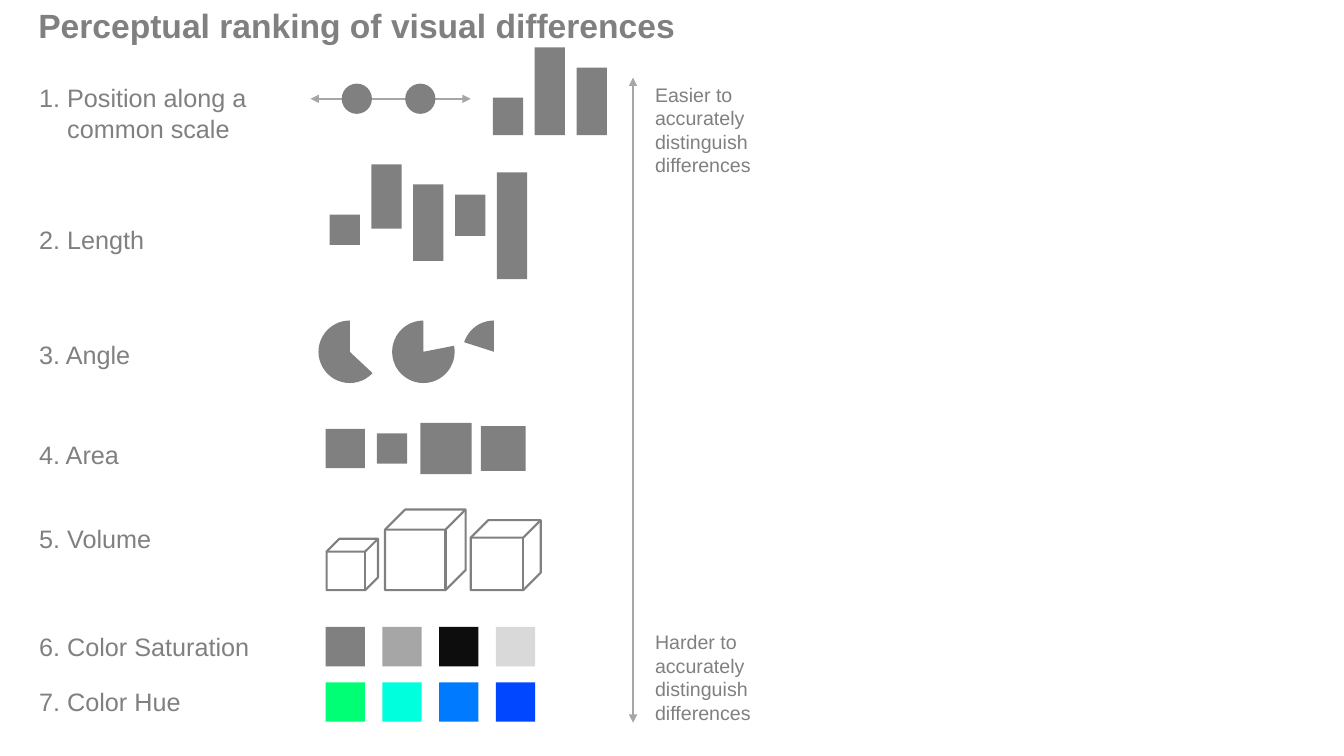
from lxml.etree import SubElement
from pptx import Presentation
from pptx.dml.color import RGBColor
from pptx.enum.shapes import MSO_CONNECTOR, MSO_SHAPE
from pptx.enum.text import MSO_ANCHOR, MSO_AUTO_SIZE, PP_ALIGN
from pptx.oxml.ns import qn
from pptx.util import Inches, Pt

CELL = Inches(0.1)
COLS, ROWS = 133.33, 75

GRAY = RGBColor(0x80, 0x80, 0x80)
MID_GRAY = RGBColor(0xA6, 0xA6, 0xA6)
NEAR_BLACK = RGBColor(0x0D, 0x0D, 0x0D)
LIGHT_GRAY = RGBColor(0xD9, 0xD9, 0xD9)
GREEN = RGBColor(0x00, 0xFF, 0x74)
CYAN = RGBColor(0x00, 0xFF, 0xDC)
AZURE = RGBColor(0x00, 0x7A, 0xFF)
BLUE = RGBColor(0x00, 0x47, 0xFF)

LABEL_LEFT = 2.9
BAR_WIDTH, BAR_PITCH = 3, 4.15
SWATCH, SWATCH_LEFT, SWATCH_PITCH = 3.9, 32.3, 5.63


def cells(*counts):
    return [round(n * CELL) for n in counts]


def write(tf, *lines, size=18, bold=False, wrap=True, hang=0):
    tf.word_wrap = wrap
    tf.auto_size = MSO_AUTO_SIZE.SHAPE_TO_FIT_TEXT
    tf.vertical_anchor = MSO_ANCHOR.TOP
    for i, line in enumerate(lines):
        p = tf.add_paragraph() if i else tf.paragraphs[0]
        p.alignment = PP_ALIGN.LEFT
        if i and hang:
            p._p.get_or_add_pPr().set("marL", str(round(hang * CELL)))
        r = p.add_run()
        r.text = line
        r.font.name = "Arial"
        r.font.size = Pt(size)
        r.font.bold = bold
        r.font.color.rgb = GRAY


def add_title(s, text):
    sp = s.shapes.title
    sp.left, sp.top, sp.width, sp.height = cells(2.8, 0, 71.5, 5)
    write(sp.text_frame, text, size=24, bold=True)


def add_text(s, x, y, w, h, *lines, **fmt):
    sp = s.shapes.add_textbox(*cells(x, y, w, h))
    write(sp.text_frame, *lines, **fmt)


def add_mark(s, kind, x, y, w, h, fill=GRAY):
    sp = s.shapes.add_shape(kind, *cells(x, y, w, h))
    sp.shadow.inherit = False
    sp.fill.solid()
    sp.fill.fore_color.rgb = fill
    sp.line.fill.background()
    return sp


def add_cube(s, x, bottom, side):
    sp = add_mark(s, MSO_SHAPE.CUBE, x, bottom - side, side, side)
    sp.fill.background()
    sp.line.color.rgb = GRAY
    sp.line.width = Pt(1.5)


def add_pie(s, x, y, size, start):
    sp = add_mark(s, MSO_SHAPE.PIE, x, y, size, size)
    for i, degrees in enumerate((start, 270)):
        sp.adjustments[i] = degrees * 0.6


def add_double_arrow(s, x1, y1, x2, y2):
    line = s.shapes.add_connector(MSO_CONNECTOR.STRAIGHT, *cells(x1, y1, x2, y2))
    line.line.color.rgb = MID_GRAY
    line.line.width = Pt(1.5)
    ln = line.line._get_or_add_ln()
    for end in ("a:headEnd", "a:tailEnd"):
        SubElement(ln, qn(end)).set("type", "triangle")
    SubElement(line._element.spPr, qn("a:effectLst"))


def add_bars(s, left, spans):
    for i, (top, height) in enumerate(spans):
        add_mark(s, MSO_SHAPE.RECTANGLE, left + i * BAR_PITCH, top, BAR_WIDTH, height)


def add_swatches(s, top, colors):
    for i, color in enumerate(colors):
        add_mark(s, MSO_SHAPE.RECTANGLE, SWATCH_LEFT + i * SWATCH_PITCH, top,
                 SWATCH, SWATCH, color)


def add_labels(s):
    add_text(s, LABEL_LEFT, 7.7, 25.9, 7.1, "1. Position along a", "common scale", hang=2.78)
    for text, top, width in (
        ("2. Length", 21.8, 12.5),
        ("3. Angle", 33.2, 11.1),
        ("4. Area", 43.1, 10),
        ("5. Volume", 51.4, 13.2),
        ("6. Color Saturation", 62.1, 23.1),
        ("7. Color Hue", 67.6, 16.2),
    ):
        add_text(s, LABEL_LEFT, top, width, 4, text, wrap=False)


def add_examples(s):
    add_double_arrow(s, 30.8, 9.8, 46.7, 9.8)
    for x in (33.9, 40.2):
        add_mark(s, MSO_SHAPE.OVAL, x, 8.3, 3, 3)
    add_bars(s, 48.9, [(13.4 - h, h) for h in (3.7, 8.7, 6.7)])
    add_bars(s, 32.7, [(21.3, 3), (16.3, 6.4), (18.3, 7.6), (19.3, 4.1), (17.1, 10.6)])
    for x, start in ((31.6, 43.09), (38.9, 348.87), (45.9, 197.82)):
        add_pie(s, x, 31.8, 6.2, start)
    for x, side in ((32.3, 3.9), (37.4, 3), (41.7, 5.1), (47.7, 4.45)):
        add_mark(s, MSO_SHAPE.RECTANGLE, x, 44.5 - side / 2, side, side)
    for x, side in ((32.4, 5.1), (38.2, 8), (46.7, 6.95)):
        add_cube(s, x, 58.55, side)
    add_swatches(s, 62.2, (GRAY, MID_GRAY, NEAR_BLACK, LIGHT_GRAY))
    add_swatches(s, 67.7, (GREEN, CYAN, AZURE, BLUE))


def add_difficulty_scale(s):
    add_double_arrow(s, 62.8, 7.7, 62.8, 71.7)
    for top, word in ((7.7, "Easier"), (62, "Harder")):
        add_text(s, 64, top, 13.4, 10.4,
                 f"{word} to accurately distinguish differences", size=14)


def main():
    prs = Presentation()
    prs.slide_width, prs.slide_height = cells(COLS, ROWS)
    s = prs.slides.add_slide(prs.slide_layouts[5])
    add_title(s, "Perceptual ranking of visual differences")
    add_labels(s)
    add_examples(s)
    add_difficulty_scale(s)
    prs.save("out.pptx")


if __name__ == "__main__":
    main()
